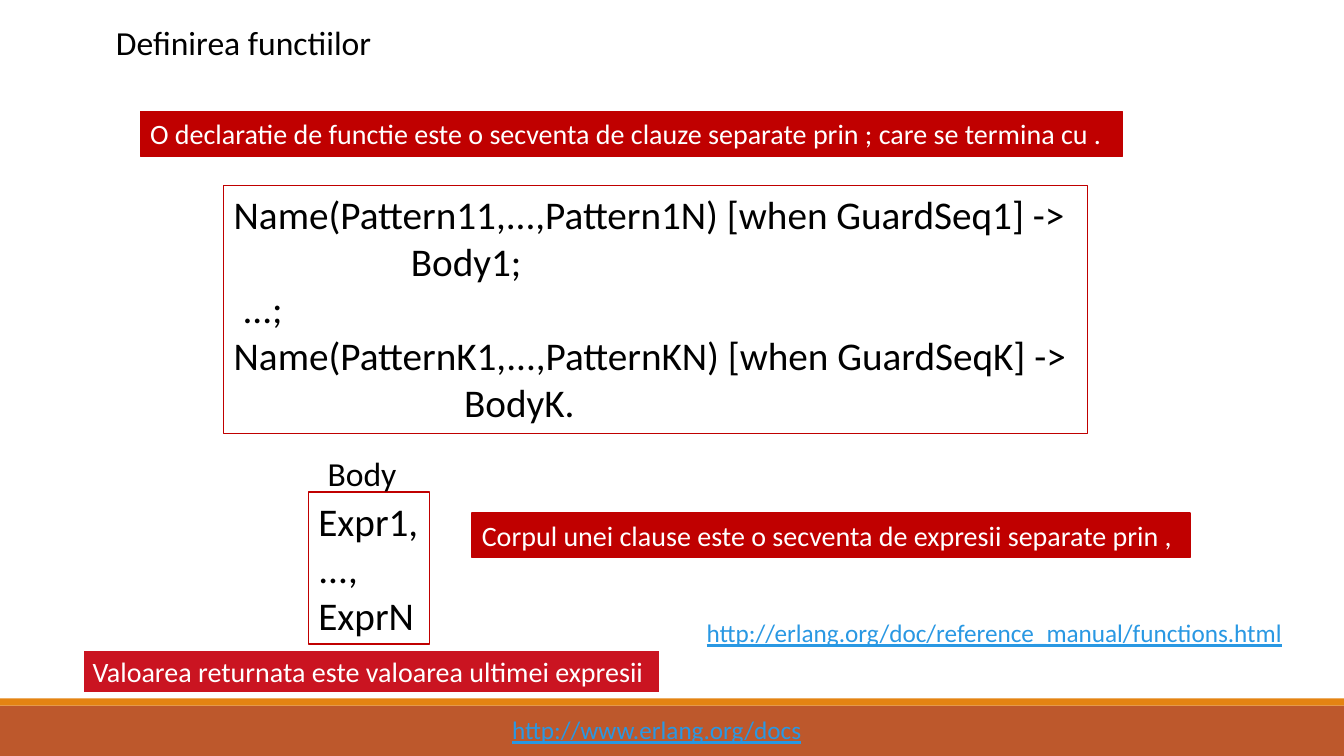
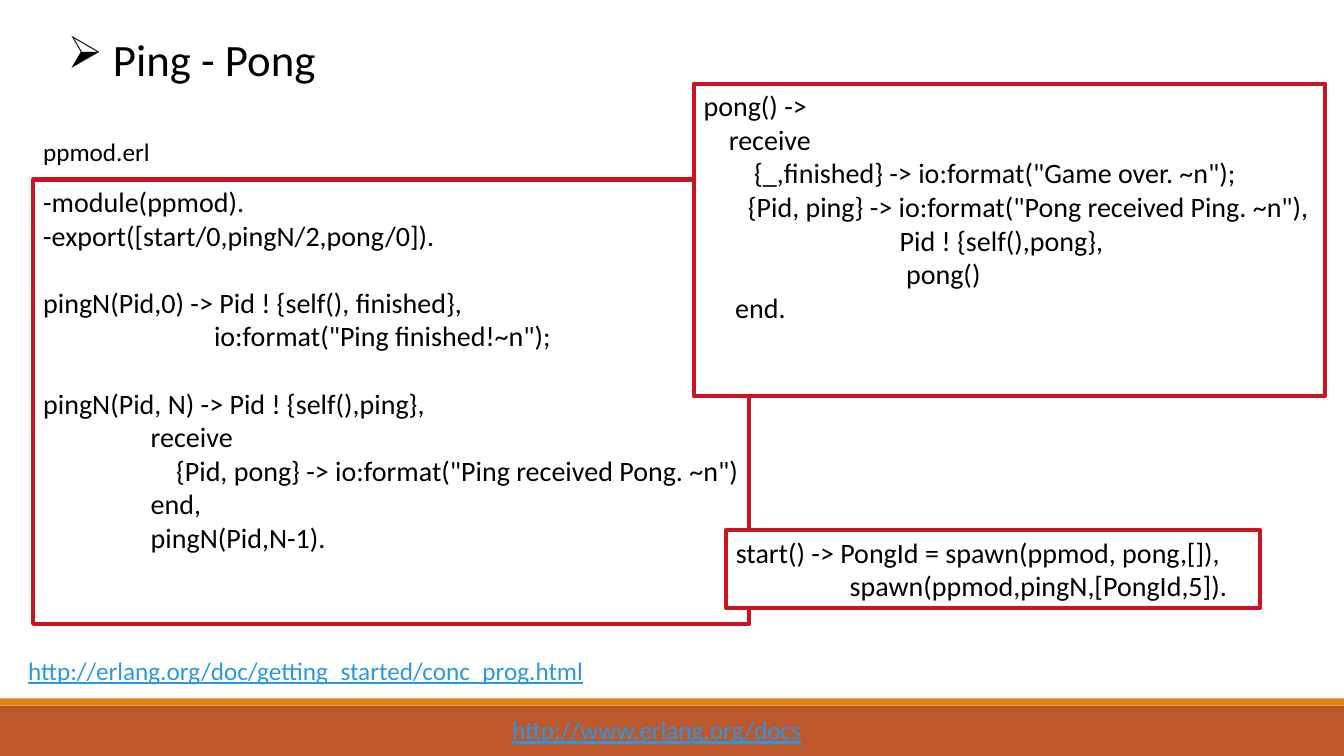
from pptx import Presentation
from pptx.dml.color import RGBColor
from pptx.enum.shapes import MSO_SHAPE
from pptx.enum.text import MSO_ANCHOR, MSO_AUTO_SIZE, PP_ALIGN
from pptx.oxml.ns import qn
from pptx.util import Inches, Pt
from lxml.etree import SubElement

FONT = "Calibri"
BLACK, WHITE, BLUE = "000000", "FFFFFF", "2998E3"
DARK, RED = "C00000", "CA1421"
RUST, AMBER = "BD582C", "E48312"

# Shared look of the text kinds
LINK = dict(size=18, color=BLUE, under=True)
NOTE = dict(size=20, color=WHITE, fill=DARK, line=DARK)
RULE = dict(size=28, line=DARK, weight=0.75)
CODE = dict(size=20, fill=WHITE, line=RED, weight=3)

# Shared footer: text, place, format
FOOT = [
    ("", (0, 7, 13.33, 0.5), dict(fill=RUST)),
    ("", (0, 6.93, 13.33, 0.07), dict(fill=AMBER)),
    ("http://www.erlang.org/docs", (4.98, 7.04, 3.11, 0.4), LINK),
]

CLAUSE = """Name(Pattern11,...,Pattern1N) [when GuardSeq1] ->
                    Body1;
 ...;
Name(PatternK1,...,PatternKN) [when GuardSeqK] ->
                          BodyK."""

BODY = """Expr1,
...,
ExprN"""

PING = """-module(ppmod).
-export([start/0,pingN/2,pong/0]).

pingN(Pid,0) -> Pid ! {self(), finished},
                           io:format("Ping finished!~n");

pingN(Pid, N) -> Pid ! {self(),ping},
                 receive
                     {Pid, pong} -> io:format("Ping received Pong. ~n")
                 end,
                 pingN(Pid,N-1)."""

START = """start() -> PongId = spawn(ppmod, pong,[]),
                  spawn(ppmod,pingN,[PongId,5])."""

PONG = """pong() ->
    receive
        {_,finished} -> io:format("Game over. ~n");
       {Pid, ping} -> io:format("Pong received Ping. ~n"),
                               Pid ! {self(),pong},
                                pong()
     end."""

# Each slide: title (text, place, format), then its parts
SLIDES = [
    (("Definirea functiilor", (1.05, 0.17, 3.7, 0.5), dict(size=24)), [
        (CLAUSE, (2.22, 1.84, 8.57, 2.46), RULE),
        ("O declaratie de functie este o secventa de clauze separate prin ; "
         "care se termina cu .", (1.39, 1.11, 9.74, 0.44),
         dict(NOTE, weight=0.75)),
        (BODY, (3.06, 4.88, 1.2, 1.51), dict(RULE, fill=WHITE, weight=1.25)),
        ("Body", (3.15, 4.44, 0.95, 0.5), dict(size=24)),
        ("Corpul unei clause este o secventa de expresii separate prin ,",
         (4.68, 5.09, 7.12, 0.44), dict(NOTE, weight=1.25)),
        ("http://erlang.org/doc/reference_manual/functions.html",
         (6.91, 6.08, 5.98, 0.4), LINK),
        ("Valoarea returnata este valoarea ultimei expresii",
         (0.82, 6.44, 5.73, 0.44),
         dict(NOTE, fill=RED, line=WHITE, weight=2)),
    ]),
    (("Ping - Pong", (0.57, 0.26, 2.9, 0.64), dict(size=32, bullet="➢")), [
        (PING, (0.33, 1.78, 7.1, 4.41), dict(CODE, fill=None)),
        ("http://erlang.org/doc/getting_started/conc_prog.html",
         (0.18, 6.45, 5.78, 0.4), LINK),
        ("ppmod.erl", (0.33, 1.3, 1.27, 0.4), dict(size=18)),
        (START, (7.2, 5.26, 5.3, 0.77), CODE),
        (PONG, (6.88, 0.83, 6.26, 3.1), CODE),
    ]),
]


def rgb(code):
    return RGBColor.from_string(code)


def write(shape, text, size=18, color=BLACK, under=False, bullet=None):
    """Fill a shape with left-aligned text, one paragraph a line."""
    frame = shape.text_frame
    frame.word_wrap = True
    frame.auto_size = MSO_AUTO_SIZE.NONE
    frame.vertical_anchor = MSO_ANCHOR.TOP
    frame.margin_left, frame.margin_right = Inches(0.1), 0
    frame.margin_top = frame.margin_bottom = Inches(0.05)
    for i, row in enumerate(text.split("\n")):
        para = frame.add_paragraph() if i else frame.paragraphs[0]
        para.alignment = PP_ALIGN.LEFT
        para.space_before = Pt(0)
        if bullet:
            props = para._p.get_or_add_pPr()
            props.set("marL", str(Inches(0.45)))
            props.set("indent", str(-Inches(0.45)))
            SubElement(props, qn("a:buChar")).set("char", bullet)
        para.text = row
        font = para.font
        for font in [para.font] + [run.font for run in para.runs]:
            font.name, font.size = FONT, Pt(size)
            font.color.rgb = rgb(color)
            font.underline = under


def place(shape, box):
    shape.left, shape.top, shape.width, shape.height = map(Inches, box)


def draw(slide, text, box, fill=None, line=None, weight=1, **form):
    """Add a text box, or a rectangle when it has a fill or a line."""
    area = [Inches(n) for n in box]
    if fill or line:
        shape = slide.shapes.add_shape(MSO_SHAPE.RECTANGLE, *area)
        shape.shadow.inherit = False
        if fill:
            shape.fill.solid()
            shape.fill.fore_color.rgb = rgb(fill)
        else:
            shape.fill.background()
        if line:
            shape.line.color.rgb = rgb(line)
            shape.line.width = Pt(weight)
        else:
            shape.line.fill.background()
    else:
        shape = slide.shapes.add_textbox(*area)
    if text:
        write(shape, text, **form)
    return shape


def brand(slide, layout):
    """Give the layout the footer, in place of its own small fields."""
    for field in list(layout.placeholders)[1:]:
        field.element.getparent().remove(field.element)
    parts = [draw(slide, text, box, **form) for text, box, form in FOOT]
    for part in parts:
        layout.shapes.element.append(part.element)


def main():
    deck = Presentation()
    deck.slide_width, deck.slide_height = Inches(13.33), Inches(7.5)
    layout = deck.slide_layouts[5]
    for i, (head, parts) in enumerate(SLIDES):
        slide = deck.slides.add_slide(layout)
        if i == 0:
            brand(slide, layout)
        text, box, form = head
        place(slide.shapes.title, box)
        write(slide.shapes.title, text, **form)
        for text, box, form in parts:
            draw(slide, text, box, **form)
    deck.save("out.pptx")


if __name__ == "__main__":
    main()
